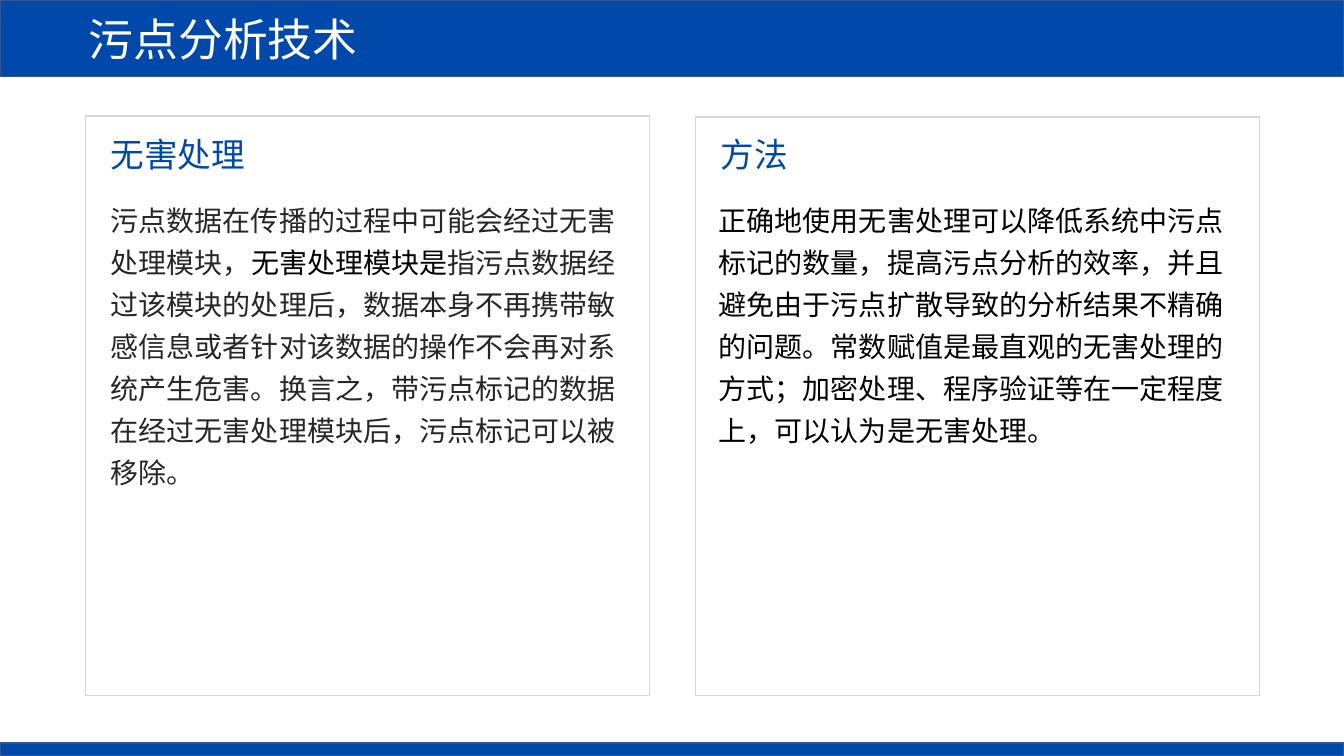
from pptx import Presentation
from pptx.util import Inches, Pt
from pptx.dml.color import RGBColor
from pptx.enum.shapes import MSO_SHAPE
from pptx.enum.text import MSO_ANCHOR, PP_ALIGN
from lxml import etree

RECT = MSO_SHAPE.RECTANGLE
MIDDLE = MSO_ANCHOR.MIDDLE
LEFT = PP_ALIGN.LEFT
FACE = "Noto Sans CJK SC"
NS = "{http://schemas.openxmlformats.org/drawingml/2006/main}"
BLUE, INK, BLACK = "0048AA", "262626", "000000"

deck = Presentation()
deck.slide_width = Inches(13.33)
deck.slide_height = Inches(7.5)
slide = deck.slides.add_slide(deck.slide_layouts[6])


def paint(target, color):
    target.rgb = RGBColor.from_string(color)


def write(frame, parts, size, lead=None):
    para = frame.paragraphs[0]
    look = {"alignment": LEFT, "line_spacing": lead}
    for key, value in look.items():
        setattr(para, key, value)
    for words, color in parts:
        run = para.add_run()
        run.text = words
        for key, value in {"name": FACE, "size": Pt(size)}.items():
            setattr(run.font, key, value)
        paint(run.font.color, color)
        etree.SubElement(run.font._element, NS + "ea", typeface=FACE)


boxes = []
for left, top, width, height, fill, edge in [
    (0, 0, 13.33, 0.76, BLUE, "325491"),
    (0, 7.37, 13.33, 0.13, BLUE, "325491"),
    (0.85, 1.15, 5.59, 5.75, None, "D6D6D6"),
    (6.9, 1.16, 5.59, 5.74, None, "D6D6D6"),
]:
    box = slide.shapes.add_shape(
        RECT, Inches(left), Inches(top), Inches(width), Inches(height))
    box.shadow.inherit = False
    if fill:
        box.fill.solid()
        paint(box.fill.fore_color, fill)
    else:
        box.fill.background()
    paint(box.line.color, edge)
    box.line.width = Pt(1)
    boxes.append(box)

title = boxes[0].text_frame
for key, value in {"margin_left": Inches(0.88), "vertical_anchor": MIDDLE}.items():
    setattr(title, key, value)
write(title, [("污点分析技术", "FFFFFF")], 32)

notes = [
    (1, 1.28, 1.55, 0.5, False, 24, 28.8, [("无害处理", BLUE)]),
    (1, 1.89, 5.28, 3.01, True, 20, 30, [
        ("污点数据在传播的过程中可能会经过无害处理模块，", INK),
        ("无害处理模块是", BLACK),
        ("指污点数据经过该模块的处理后，数据本身不再携带敏感信息或者针对该数据的操作"
         "不会再对系统产生危害。换言之，带污点标记的数据在经过无害处理模块后，"
         "污点标记可以被移除。", INK),
    ]),
    (7.05, 1.28, 0.88, 0.5, False, 24, 28.8, [("方法", BLUE)]),
    (7.03, 1.89, 5.45, 2.59, True, 20, 30, [
        ("正确地使用无害处理可以降低系统中污点标记的数量，提高污点分析的效率，"
         "并且避免由于污点扩散导致的分析结果不精确的问题。常数赋值是最直观的"
         "无害处理的方式；加密处理、程序验证等在一定程度上，可以认为是无害处理。", BLACK),
    ]),
]
for left, top, width, height, wrap, size, lead, parts in notes:
    note = slide.shapes.add_textbox(
        Inches(left), Inches(top), Inches(width), Inches(height))
    note.text_frame.word_wrap = wrap
    write(note.text_frame, parts, size, Pt(lead))

deck.save("out.pptx")
